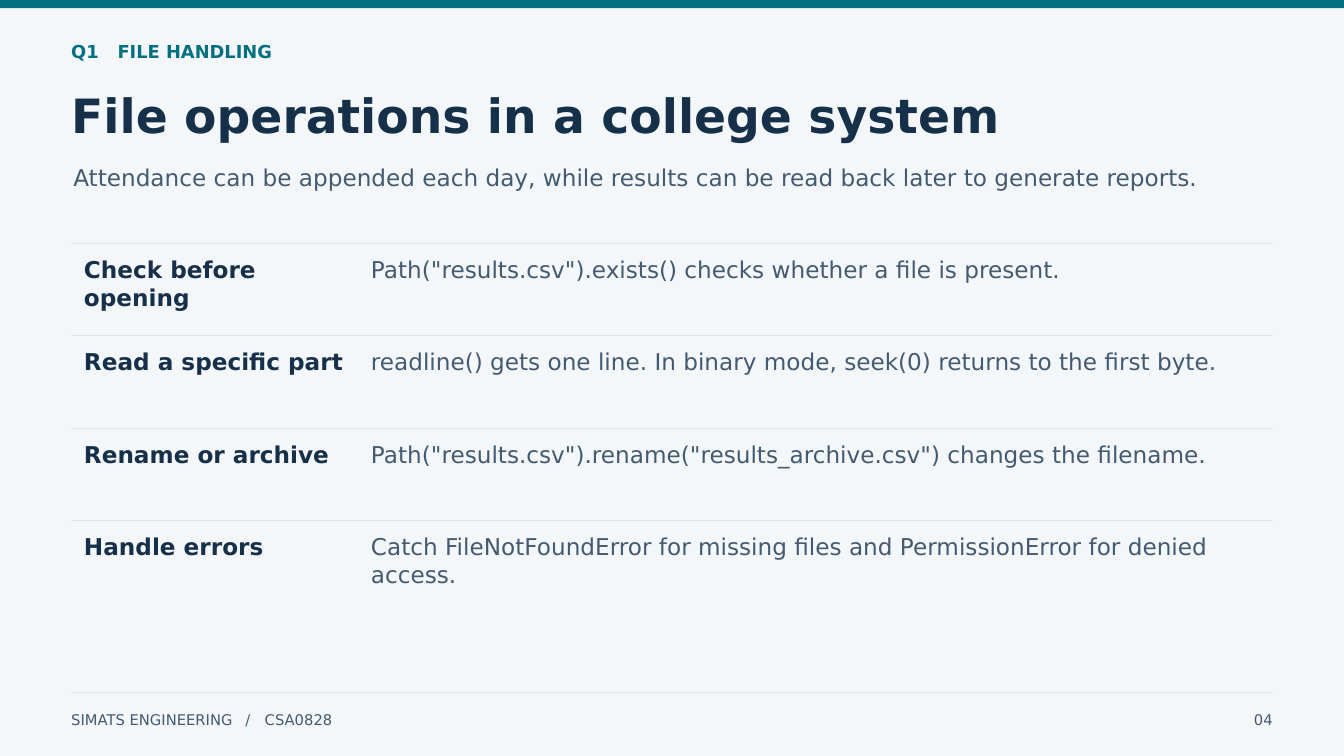
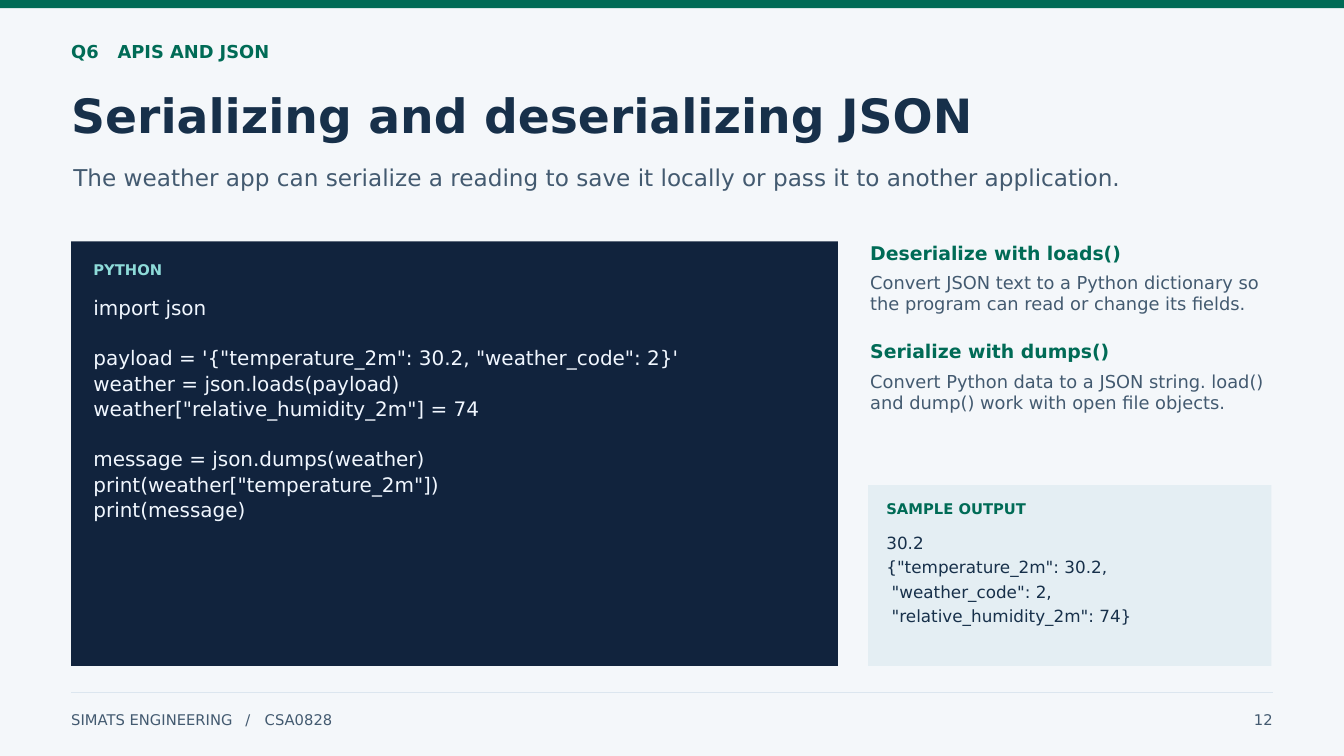
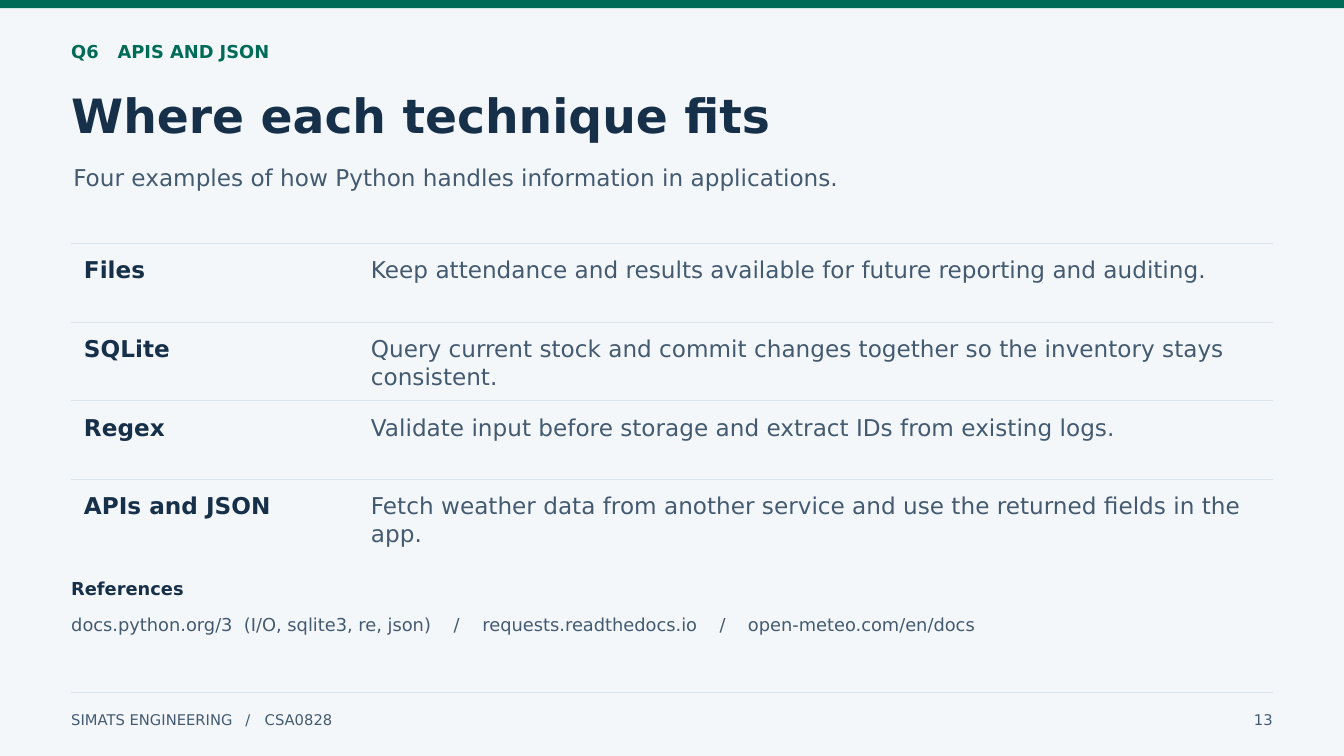
"""Build three slides of a Python course deck: file handling, JSON and a summary."""
from dataclasses import dataclass

import pptx
import pptx.dml.color
import pptx.enum.shapes
import pptx.enum.text
import pptx.util
from lxml import etree
from pptx.oxml.ns import qn

Inches = pptx.util.Inches
Pt = pptx.util.Pt


@dataclass(frozen=True)
class Theme:
    font: str = "DejaVu Sans"
    paper: str = "F4F7FA"
    ink: str = "17304A"
    muted: str = "435A70"
    rule: str = "DCE6EF"
    teal: str = "006F80"
    green: str = "006B56"
    code_panel: str = "11233D"
    code_label: str = "8EDBD9"
    code_text: str = "F1F7FF"
    output_panel: str = "E4EEF3"
    title: float = 50.6
    body: float = 24.8
    code: float = 21.4
    heading: float = 20.2
    note: float = 19.1
    output: float = 18
    small: float = 15.8
    left: float = 1.06
    right: float = 18.94
    body_top: float = 3.59
    panel_bottom: float = 9.91


T = Theme()
WIDTH = T.right - T.left

FOOTER = "SIMATS ENGINEERING\t/\tCSA0828"

FILES = {
    "kicker": "Q1\tFILE HANDLING",
    "title": "File operations in a college system",
    "lead": "Attendance can be appended each day, while results can be read back later to generate reports.",
    "number": "04",
    "accent": T.teal,
}
FILE_ROWS = [
    ("Check before opening", 'Path("results.csv").exists() checks whether a file is present.'),
    ("Read a specific part", "readline() gets one line. In binary mode, seek(0) returns to the first byte."),
    ("Rename or archive", 'Path("results.csv").rename("results_archive.csv") changes the filename.'),
    ("Handle errors", "Catch FileNotFoundError for missing files and PermissionError for denied access."),
]

JSON = {
    "kicker": "Q6\tAPIS AND JSON",
    "title": "Serializing and deserializing JSON",
    "lead": "The weather app can serialize a reading to save it locally or pass it to another application.",
    "number": "12",
    "accent": T.green,
}
CODE_BLOCKS = [
    ["import json"],
    [
        """payload = '{"temperature_2m": 30.2, "weather_code": 2}'""",
        "weather = json.loads(payload)",
        'weather["relative_humidity_2m"] = 74',
    ],
    [
        "message = json.dumps(weather)",
        'print(weather["temperature_2m"])',
        "print(message)",
    ],
]
OUTPUT_BLOCKS = [[
    "30.2",
    '{"temperature_2m": 30.2,',
    ' "weather_code": 2,',
    ' "relative_humidity_2m": 74}',
]]
JSON_NOTES = [
    ("Deserialize with loads()",
     "Convert JSON text to a Python dictionary so the program can read or change its fields."),
    ("Serialize with dumps()",
     "Convert Python data to a JSON string. load() and dump() work with open file objects."),
]

SUMMARY = {
    "kicker": "Q6\tAPIS AND JSON",
    "title": "Where each technique fits",
    "lead": "Four examples of how Python handles information in applications.",
    "number": "13",
    "accent": T.green,
}
SUMMARY_ROWS = [
    ("Files", "Keep attendance and results available for future reporting and auditing."),
    ("SQLite", "Query current stock and commit changes together so the inventory stays consistent."),
    ("Regex", "Validate input before storage and extract IDs from existing logs."),
    ("APIs and JSON", "Fetch weather data from another service and use the returned fields in the app."),
]
REFERENCES = "docs.python.org/3\t(I/O, sqlite3, re, json)\t/\trequests.readthedocs.io\t/\topen-meteo.com/en/docs"


def rgb(color):
    return pptx.dml.color.RGBColor.from_string(color)


def add_panel(s, x, y, w, h, color):
    sp = s.shapes.add_shape(pptx.enum.shapes.MSO_SHAPE.RECTANGLE,
                            Inches(x), Inches(y), Inches(w), Inches(h))
    sp.shadow.inherit = False
    sp.fill.solid()
    sp.fill.fore_color.rgb = rgb(color)
    sp.line.fill.background()


def add_rule(s, y):
    line = s.shapes.add_connector(pptx.enum.shapes.MSO_CONNECTOR.STRAIGHT,
                                  Inches(T.left), Inches(y), Inches(T.right), Inches(y))
    line.line.color.rgb = rgb(T.rule)
    line.line.width = Pt(1.1)
    etree.SubElement(line._element.spPr, qn("a:effectLst"))


def add_frame(s, x, y, w, h):
    tf = s.shapes.add_textbox(Inches(x), Inches(y), Inches(w), Inches(h)).text_frame
    tf.word_wrap = True
    tf.margin_left = tf.margin_right = tf.margin_top = tf.margin_bottom = 0
    return tf


def style(p, size, color, bold=False, pitch=None):
    p.line_spacing = Pt(pitch or round(size * 1.2, 1))
    for r in p.runs:
        r.font.name = T.font
        r.font.size = Pt(size)
        r.font.bold = bold
        r.font.color.rgb = rgb(color)


def add_text(s, text, x, y, w, h, size, color, bold=False, tabs=()):
    tf = add_frame(s, x, y, w, h)
    tf.text = text
    p = tf.paragraphs[0]
    style(p, size, color, bold)
    if tabs:
        tab_list = etree.SubElement(p._p.get_or_add_pPr(), qn("a:tabLst"))
        for stop in tabs:
            etree.SubElement(tab_list, qn("a:tab"), pos=str(Inches(stop)), algn="l")
    return p


def add_code(s, blocks, x, y, w, h, size, color, pitch):
    tf = add_frame(s, x, y, w, h)
    tf.text = "\n".join(line for block in blocks for line in block)
    paragraphs = iter(tf.paragraphs)
    for b, block in enumerate(blocks):
        for i in range(len(block)):
            p = next(paragraphs)
            style(p, size, color, pitch=pitch)
            if b and i == 0:
                p.space_before = Pt(pitch)


def add_base(prs, page):
    s = prs.slides.add_slide(prs.slide_layouts[6])
    s.background.fill.solid()
    s.background.fill.fore_color.rgb = rgb(T.paper)
    add_panel(s, 0, 0, 20, 0.12, page["accent"])
    add_text(s, page["kicker"], T.left, 0.61, WIDTH, 0.48, T.note, page["accent"], True, [0.69])
    add_text(s, page["title"], T.left, 1.29, WIDTH, 1.04, T.title, T.ink, True)
    add_text(s, page["lead"], 1.09, 2.43, 17.81, 0.96, T.body, T.muted)
    add_rule(s, 10.31)
    add_text(s, FOOTER, T.left, 10.57, 10.16, 0.39, T.small, T.muted, tabs=[2.59, 2.88])
    p = add_text(s, page["number"], 17.5, 10.57, 1.44, 0.39, T.small, T.muted)
    p.alignment = pptx.enum.text.PP_ALIGN.RIGHT
    return s


def add_rows(s, rows, height):
    pitch = height / len(rows)
    for i, (label, detail) in enumerate(rows):
        y = 3.62 + i * pitch
        add_rule(s, y)
        add_text(s, label, 1.25, y + 0.18, 4.14, pitch - 0.16, T.body, T.ink, True)
        add_text(s, detail, 5.52, y + 0.18, 13.3, pitch - 0.16, T.body, T.muted)


def build_files(prs):
    add_rows(add_base(prs, FILES), FILE_ROWS, 5.5)


def build_json(prs):
    s = add_base(prs, JSON)
    add_panel(s, T.left, T.body_top, 11.41, T.panel_bottom - T.body_top, T.code_panel)
    add_text(s, "PYTHON", 1.39, 3.88, 10.62, 0.39, T.small, T.code_label, True)
    add_code(s, CODE_BLOCKS, 1.39, 4.38, 10.72, 3.44, T.code, T.code_text, 27)
    for i, (heading, note) in enumerate(JSON_NOTES):
        y = T.body_top + i * 1.47
        add_text(s, heading, 12.95, y, 5.84, 0.41, T.heading, T.green, True)
        add_text(s, note, 12.95, y + 0.45, 5.88, 0.99, T.note, T.muted)
    add_panel(s, 12.92, 7.22, 6, T.panel_bottom - 7.22, T.output_panel)
    add_text(s, "SAMPLE OUTPUT", 13.19, 7.44, 5.41, 0.4, T.small, T.green, True)
    add_code(s, OUTPUT_BLOCKS, 13.19, 7.87, 5.53, 1.57, T.output, T.ink, 25.9)


def build_summary(prs):
    s = add_base(prs, SUMMARY)
    add_rows(s, SUMMARY_ROWS, 4.69)
    add_text(s, "References", T.left, 8.6, 2.34, 0.43, T.note, T.ink, True)
    add_text(s, REFERENCES, T.left, 9.13, 17.81, 0.45, T.note, T.muted,
             tabs=[2.57, 5.69, 6.12, 9.65, 10.07])


def main():
    prs = pptx.Presentation()
    prs.slide_width = Inches(20)
    prs.slide_height = Inches(11.25)
    build_files(prs)
    build_json(prs)
    build_summary(prs)
    prs.save("out.pptx")


if __name__ == "__main__":
    main()
